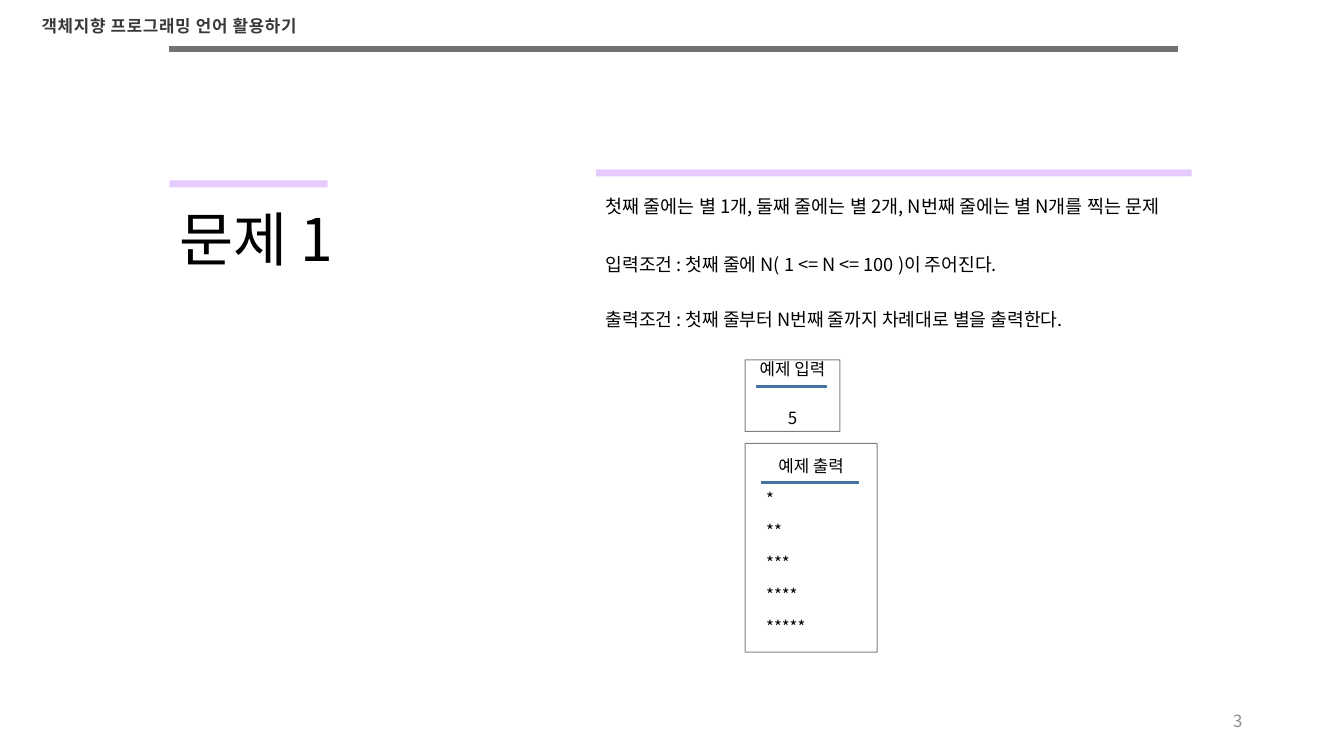
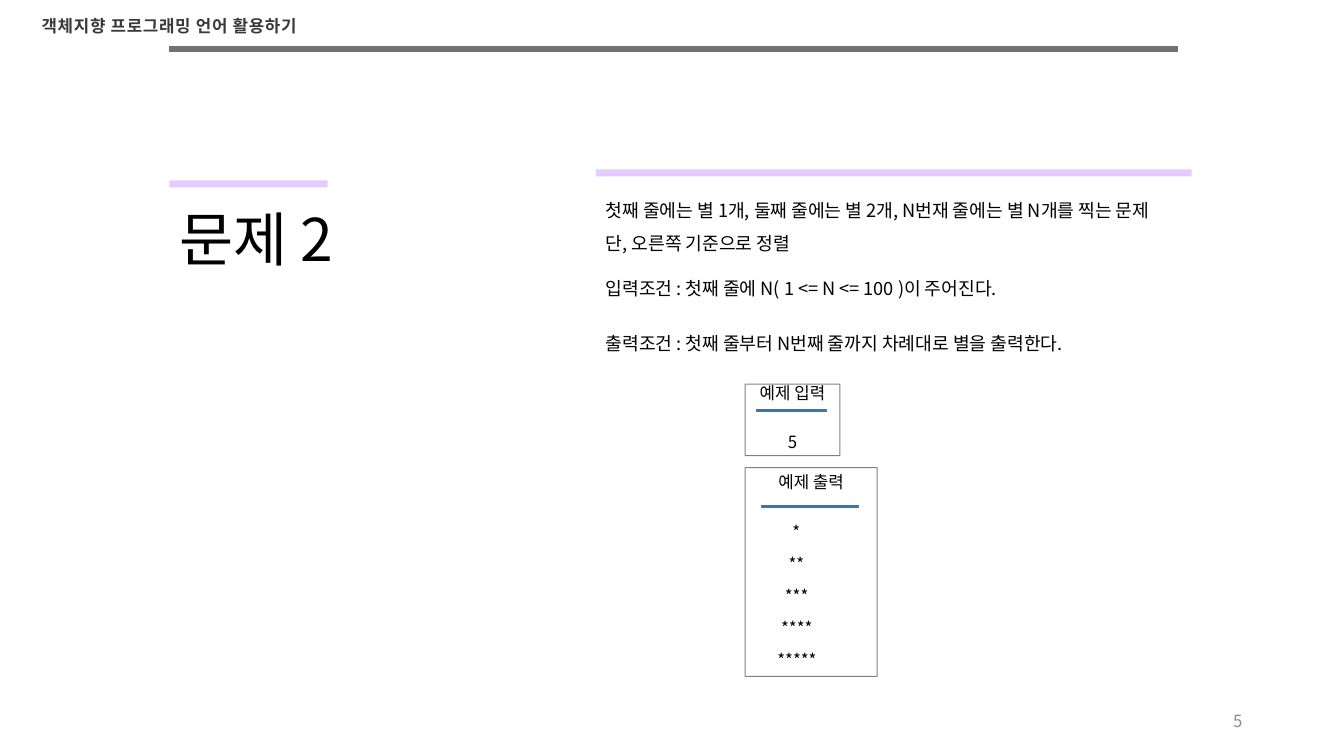
from dataclasses import dataclass

from lxml import etree
from pptx import Presentation
from pptx.dml.color import RGBColor
from pptx.enum.shapes import MSO_SHAPE
from pptx.enum.text import MSO_ANCHOR, MSO_AUTO_SIZE, PP_ALIGN
from pptx.oxml.ns import qn
from pptx.util import Inches, Pt

COLORS = {
    "text": "000000",
    "header": "3B3838",
    "bar": "767171",
    "accent": "CC99FF",
    "rule": "5B9BD5",
    "rule_line": "43739E",
    "number": "8C8C8C",
}
FONT = "Noto Sans CJK KR"
HEADER_FONT = "Noto Sans CJK JP"
SPACE = 0.037  # width of one blank in the star rows
GAP = 10  # points between paragraphs
STARS = 5


@dataclass
class Para:
    text: str
    before: float = 0
    indent: float = 0
    align: PP_ALIGN = PP_ALIGN.LEFT


@dataclass
class Style:
    size: float = 13
    color: str = "text"
    font: str = FONT
    spacing: float = 0.9
    anchor: MSO_ANCHOR = MSO_ANCHOR.TOP
    bold: bool = False
    tracking: int = 0


@dataclass
class Problem:
    title: str
    statement: list[str]
    statement_style: Style
    statement_height: float
    shift: float
    star_gap: float
    star_indents: list[float]
    number: str


BODY = Style()
TITLE = Style(42, anchor=MSO_ANCHOR.BOTTOM)
HEADER = Style(12, "header", HEADER_FONT, 1, bold=True, tracking=50)
NUMBER = Style(12, "number", spacing=1, anchor=MSO_ANCHOR.MIDDLE)
INPUT = Style(12, spacing=0.7, anchor=MSO_ANCHOR.MIDDLE)
OUTPUT = Style(12, anchor=MSO_ANCHOR.MIDDLE)


def rgb(name: str) -> RGBColor:
    return RGBColor.from_string(COLORS[name])


def set_alpha(fill, percent: int) -> None:
    clr = fill._xPr.find(qn("a:solidFill"))[0]
    etree.SubElement(clr, qn("a:alpha")).set("val", str(percent * 1000))


def write(shape, paras: list[Para], style: Style) -> None:
    tf = shape.text_frame
    tf.word_wrap = True
    tf.vertical_anchor = style.anchor
    for i, para in enumerate(paras):
        p = tf.paragraphs[0] if i == 0 else tf.add_paragraph()
        p.text = para.text
        p.alignment = para.align
        p.line_spacing = style.spacing
        p.space_before = Pt(para.before)
        if para.indent:
            p._p.get_or_add_pPr().set("marL", str(Inches(para.indent)))
        for r in p.runs:
            r.font.size = Pt(style.size)
            r.font.name = style.font
            r.font.bold = style.bold
            r.font.color.rgb = rgb(style.color)
            rPr = r._r.get_or_add_rPr()
            rPr.set("kern", "0")
            etree.SubElement(rPr, qn("a:ea")).set("typeface", style.font)
            if style.tracking:
                rPr.set("spc", str(style.tracking))


def add_text(s, x: float, y: float, w: float, h: float,
             paras: list[Para], style: Style):
    tb = s.shapes.add_textbox(Inches(x), Inches(y), Inches(w), Inches(h))
    write(tb, paras, style)
    return tb


def add_shape(s, kind: MSO_SHAPE, x: float, y: float, w: float, h: float,
              fill: str = "", line: str = "", weight: float = 1, alpha: int = 100):
    sp = s.shapes.add_shape(kind, Inches(x), Inches(y), Inches(w), Inches(h))
    sp.shadow.inherit = False
    if fill:
        sp.fill.solid()
        sp.fill.fore_color.rgb = rgb(fill)
    else:
        sp.fill.background()
    if line:
        sp.line.color.rgb = rgb(line)
        sp.line.width = Pt(weight)
    else:
        sp.line.fill.background()
    if alpha < 100:
        set_alpha(sp.fill if fill else sp.line.fill, alpha)
    return sp


def add_frame(s, number: str) -> None:
    # Top bar, course name, accent bars and page number
    add_shape(s, MSO_SHAPE.FLOWCHART_PROCESS, 1.68, 0.46, 10, 0.06, "bar")
    header = add_text(s, 0.16, 0.11, 3.04, 0.3,
                      [Para("객체지향 프로그래밍 언어 활용하기", align=PP_ALIGN.CENTER)], HEADER)
    header.text_frame.auto_size = MSO_AUTO_SIZE.SHAPE_TO_FIT_TEXT
    for x, y, w in ((1.68, 1.79, 1.57), (5.91, 1.68, 5.91)):
        add_shape(s, MSO_SHAPE.FLOWCHART_ALTERNATE_PROCESS, x, y, w, 0.07,
                  "accent", alpha=50)
    add_text(s, 9.42, 6.95, 3, 0.4, [Para(number, align=PP_ALIGN.RIGHT)], NUMBER)


def add_example(s, y: float, w: float, h: float, rule_y: float,
                paras: list[Para], style: Style) -> None:
    box = add_shape(s, MSO_SHAPE.RECTANGLE, 7.39, y, w, h,
                    line="text", weight=0.75, alpha=50)
    write(box, paras, style)
    add_shape(s, MSO_SHAPE.MATH_MINUS, 7.38, rule_y, w, 0.05, "rule", "rule_line")


def add_problem(prs, problem: Problem) -> None:
    s = prs.slides.add_slide(prs.slide_layouts[6])
    dy = problem.shift

    # Title and statement
    add_text(s, 1.68, 1.79, 2.11, 0.98, [Para(problem.title)], TITLE)
    add_text(s, 5.91, 1.95, 6.39, problem.statement_height,
             [Para(t, GAP if i else 0) for i, t in enumerate(problem.statement)],
             problem.statement_style)
    add_frame(s, problem.number)

    # Conditions
    conditions = ("입력조건 : 첫째 줄에 N( 1 <= N <= 100 )이 주어진다.",
                  "출력조건 : 첫째 줄부터 N번째 줄까지 차례대로 별을 출력한다.")
    for i, text in enumerate(conditions):
        add_text(s, 5.91, 2.49 + dy + 0.54 * i, 6.39, 0.42, [Para(text)], BODY)

    # Example input and output
    add_example(s, 3.57 + dy, 0.94, 0.71, 3.81 + dy,
                [Para("예제 입력", align=PP_ALIGN.CENTER),
                 Para(str(STARS), 25, align=PP_ALIGN.CENTER)], INPUT)
    rows = [Para("*" * (i + 1), GAP if i else problem.star_gap, indent)
            for i, indent in enumerate(problem.star_indents)]
    add_example(s, 4.4 + dy, 1.31, 2.07, 4.76 + dy,
                [Para("예제 출력", align=PP_ALIGN.CENTER)] + rows, OUTPUT)


PROBLEMS = [
    Problem("문제 1",
            ["첫째 줄에는 별 1개, 둘째 줄에는 별 2개, N번째 줄에는 별 N개를 찍는 문제"],
            Style(13.2, spacing=0.7), 0.42, 0, GAP, [3 * SPACE] * STARS, "3"),
    Problem("문제 2",
            ["첫째 줄에는 별 1개, 둘째 줄에는 별 2개, N번재 줄에는 별 N개를 찍는 문제",
             "단, 오른쪽 기준으로 정렬"],
            BODY, 0.64, 0.24, 23, [(10 - i) * SPACE for i in range(STARS)], "5"),
]

prs = Presentation()
prs.slide_width = Inches(13.33)
prs.slide_height = Inches(7.5)
for problem in PROBLEMS:
    add_problem(prs, problem)
prs.save("out.pptx")
